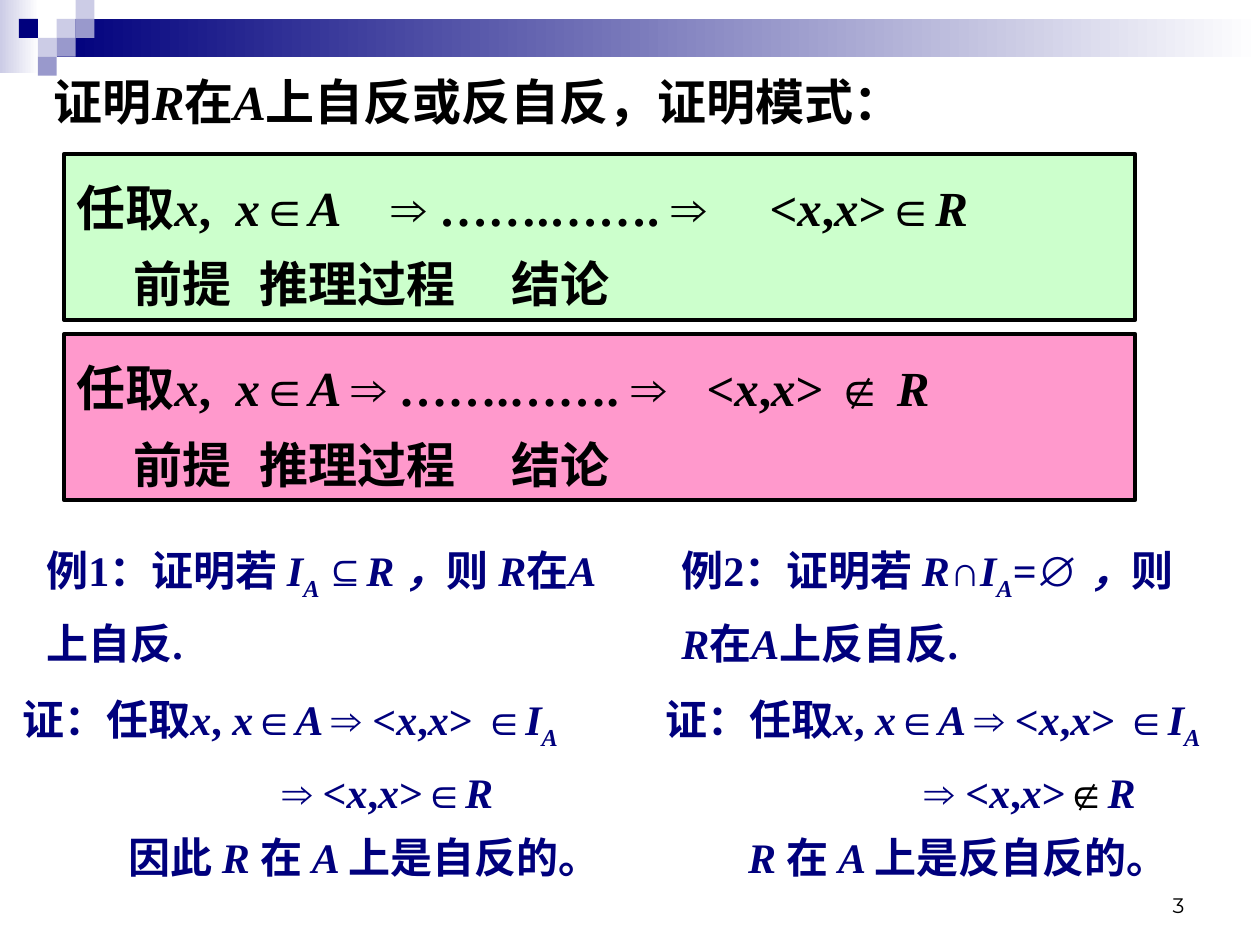
import itertools

import pptx
import pptx.dml.color
import pptx.enum.shapes
import pptx.enum.text
import pptx.oxml.ns
import pptx.util
from lxml import etree
from pptx.util import Inches

NAVY, BLACK = "00007D", "000000"
LAVENDER, PERIWINKLE = "CCCCE6", "9999CC"
MATH_SYMBOLS = "∈∉⇒⊆∅"


def color(hex_string):
    return pptx.dml.color.RGBColor.from_string(hex_string)


def write_lines(shape, lines, size, font_color, spacing=1.3, wrap=True):
    """Fill a shape from (markup, indent, tab stops) lines.

    In the markup, * switches italics and _ switches italic subscript.
    """
    frame = shape.text_frame
    frame.word_wrap = wrap
    frame.vertical_anchor = pptx.enum.text.MSO_ANCHOR.TOP
    for index, (markup, indent, stops) in enumerate(lines):
        paragraph = frame.add_paragraph() if index else frame.paragraphs[0]
        paragraph.alignment = pptx.enum.text.PP_ALIGN.LEFT
        paragraph.line_spacing = spacing
        properties = paragraph._p.get_or_add_pPr()
        properties.set("marL", str(Inches(indent)))
        properties.set("indent", "0")
        if stops:
            tab_list = etree.SubElement(properties, pptx.oxml.ns.qn("a:tabLst"))
            for stop in stops:
                etree.SubElement(tab_list, pptx.oxml.ns.qn("a:tab"),
                                 pos=str(Inches(stop)), algn="l")
        italic = subscript = False
        styled = []
        for character in markup:
            if character == "*":
                italic = not italic
            elif character == "_":
                subscript = not subscript
            else:
                symbol = character if character in MATH_SYMBOLS else ""
                styled.append((character, (italic or subscript, subscript, symbol)))
        for style, group in itertools.groupby(styled, key=lambda item: item[1]):
            run_italic, run_subscript, symbol = style
            run = paragraph.add_run()
            run.text = "".join(character for character, _ in group)
            run.font.size = pptx.util.Pt(size)
            run.font.bold = True
            run.font.italic = run_italic and not symbol
            run.font.name = "Arial" if symbol else "Times New Roman"
            run.font.color.rgb = color(BLACK if symbol == "∉" else font_color)
            if run_subscript:
                run.font._element.set("baseline", "-25000")


presentation = pptx.Presentation()
presentation.slide_width = Inches(10)
presentation.slide_height = Inches(7.5)
slide = presentation.slides.add_slide(presentation.slide_layouts[6])
shapes = slide.shapes
rectangle = pptx.enum.shapes.MSO_SHAPE.RECTANGLE

# Header bands fading to white
for left, top, width, height, start in [(0, 0, 0.31, 0.58, LAVENDER),
                                        (0.45, 0.15, 9.55, 0.3, NAVY)]:
    band = shapes.add_shape(rectangle, Inches(left), Inches(top),
                            Inches(width), Inches(height))
    band.shadow.inherit = False
    band.line.fill.background()
    band.fill.gradient()
    band.fill.gradient_angle = 0
    for stop, stop_color in zip(band.fill.gradient_stops, (start, "FFFFFF")):
        stop.color.rgb = color(stop_color)

# Header squares on a 0.15 inch grid: column, row, colour
square_size = 0.15
for column, row, square_color in [
    (3, 1, LAVENDER), (4, 0, LAVENDER), (4, 1, PERIWINKLE), (2, 2, LAVENDER),
    (1, 1, NAVY), (3, 2, PERIWINKLE), (2, 3, PERIWINKLE),
]:
    square = shapes.add_shape(rectangle, Inches(column * square_size),
                              Inches(row * square_size),
                              Inches(square_size), Inches(square_size))
    square.shadow.inherit = False
    square.line.fill.background()
    square.fill.solid()
    square.fill.fore_color.rgb = color(square_color)

title = shapes.add_textbox(Inches(0.33), Inches(0.52), Inches(7.3), Inches(0.57))
write_lines(title, [("证明*R*在*A*上自反或反自反，证明模式：", 0, [])], 28, BLACK,
            spacing=1.0, wrap=False)

# Proof patterns
for top, fill_color, formula, stops in [
    (1.22, "CCFFCC", "任取*x*, * x*∈*A*\t⇒ …….……. ⇒\t<*x*,*x*>∈*R*", [2.38, 5.09]),
    (2.65, "FF99CC", "任取*x*, * x*∈*A *⇒ …….……. ⇒\t<*x*,*x*> ∉ *R*", [4.99]),
]:
    pattern = shapes.add_shape(rectangle, Inches(0.51), Inches(top),
                               Inches(8.5), Inches(1.32))
    pattern.shadow.inherit = False
    pattern.fill.solid()
    pattern.fill.fore_color.rgb = color(fill_color)
    pattern.line.color.rgb = color(BLACK)
    pattern.line.width = pptx.util.Pt(2.25)
    labels = ("前提\t推理过程\t结论", 0.45, [2.72, 5.16])
    write_lines(pattern, [(formula, 0, stops), labels], 28, BLACK)

# Worked examples
for left, width, statement in [
    (0.27, 4.65, "例1：证明若 *I*_A _⊆*R ，*则 *R*在*A*上自反."),
    (5.31, 4.29, "例2：证明若 *R*∩*I*_A_=∅ *，*则 *R*在*A*上反自反."),
]:
    example = shapes.add_textbox(Inches(left), Inches(4.14), Inches(width), Inches(1.21))
    write_lines(example, [(statement, 0, [])], 24, NAVY)

# Proofs
for left, width, relation, conclusion, conclusion_indent in [
    (0.08, 5.11, "∈", "因此 *R *在 *A *上是自反的。", 0.84),
    (5.18, 4.55, "∉", "*R *在 *A *上是反自反的。", 0.66),
]:
    proof = shapes.add_textbox(Inches(left), Inches(5.32), Inches(width), Inches(1.81))
    write_lines(proof, [
        ("证：任取*x*, *x*∈*A *⇒ <*x*,*x*> ∈*I*_A_", 0, []),
        (f"⇒ <*x*,*x*>{relation}*R*", 2.06, []),
        (conclusion, conclusion_indent, []),
    ], 24, NAVY)

number = shapes.add_textbox(Inches(7.17), Inches(6.83), Inches(2.33), Inches(0.5))
number.text_frame.text = "3"
number.text_frame.word_wrap = True
number.text_frame.vertical_anchor = pptx.enum.text.MSO_ANCHOR.BOTTOM
paragraph = number.text_frame.paragraphs[0]
paragraph.alignment = pptx.enum.text.PP_ALIGN.RIGHT
font = paragraph.runs[0].font
font.size = pptx.util.Pt(12)
font.name = "Montserrat"
font.color.rgb = color(BLACK)

presentation.save("out.pptx")
